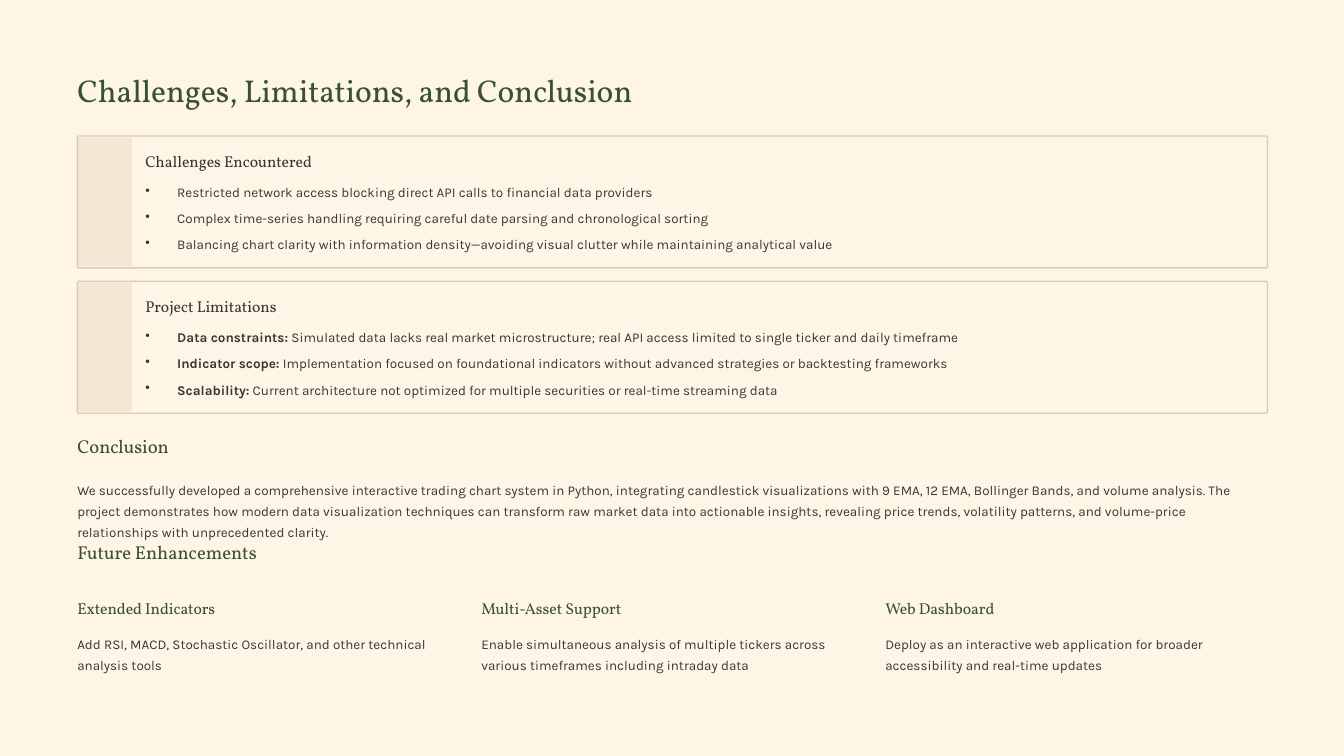
from dataclasses import dataclass

from lxml import etree
from pptx import Presentation
from pptx.dml.color import RGBColor
from pptx.enum.shapes import MSO_SHAPE
from pptx.enum.text import MSO_ANCHOR, MSO_AUTO_SIZE, PP_ALIGN
from pptx.oxml.ns import qn
from pptx.util import Inches, Pt

ROUND = MSO_SHAPE.ROUNDED_RECTANGLE
TOP = MSO_ANCHOR.TOP
FIXED = MSO_AUTO_SIZE.NONE
LEFT = PP_ALIGN.LEFT

WIDE, HIGH = Inches(16), Inches(9)
COLS, ROWS = 160, 90
EDGE, SPAN = 9.2, 141.7
INK = {"page": "FEF5E7", "strip": "F3E7D4", "rim": "D9CDBA",
       "green": "38512F", "dark": "3A3630"}
SERIF, SANS = "Vollkorn", "Karla"


@dataclass
class Box:
    col: float
    row: float
    wide: float
    high: float

    def place(self) -> tuple[int, int, int, int]:
        return (round(self.col * WIDE / COLS), round(self.row * HIGH / ROWS),
                round(self.wide * WIDE / COLS), round(self.high * HIGH / ROWS))


@dataclass
class Card:
    head: str
    items: list[tuple[str, str]]


@dataclass
class Plan:
    head: str
    body: str
    wide: float


CARDS = [
    Card("Challenges Encountered", [
        ("", "Restricted network access blocking direct API calls to financial data providers"),
        ("", "Complex time-series handling requiring careful date parsing and chronological sorting"),
        ("", "Balancing chart clarity with information density—avoiding visual clutter "
             "while maintaining analytical value"),
    ]),
    Card("Project Limitations", [
        ("Data constraints:", " Simulated data lacks real market microstructure; "
                              "real API access limited to single ticker and daily timeframe"),
        ("Indicator scope:", " Implementation focused on foundational indicators "
                             "without advanced strategies or backtesting frameworks"),
        ("Scalability:", " Current architecture not optimized for multiple securities "
                         "or real-time streaming data"),
    ]),
]

PLANS = [
    Plan("Extended Indicators",
         "Add RSI, MACD, Stochastic Oscillator, and other technical analysis tools", 44.1),
    Plan("Multi-Asset Support",
         "Enable simultaneous analysis of multiple tickers across "
         "various timeframes including intraday data", 44.1),
    Plan("Web Dashboard",
         "Deploy as an interactive web application for broader "
         "accessibility and real-time updates", 45.6),
]

CLOSE = (
    "We successfully developed a comprehensive interactive trading chart system in Python, "
    "integrating candlestick visualizations with 9 EMA, 12 EMA, Bollinger Bands, and volume "
    "analysis. The project demonstrates how modern data visualization techniques can transform "
    "raw market data into actionable insights, revealing price trends, volatility patterns, "
    "and volume-price relationships with unprecedented clarity."
)


def tint(name: str) -> RGBColor:
    return RGBColor.from_string(INK[name])


def write(slide, box: Box, lines: list[tuple[str, str]], *, shape=None,
          size: float = 11.5, lead: float = 18, face: str = SANS,
          ink: str = "dark", dots: bool = False) -> None:
    if shape is None:
        shape = slide.shapes.add_textbox(*box.place())
    else:
        shape.left, shape.top, shape.width, shape.height = box.place()
    frame = shape.text_frame
    frame.margin_left = frame.margin_right = frame.margin_top = frame.margin_bottom = 0
    frame.word_wrap = True
    frame.auto_size = FIXED
    frame.vertical_anchor = TOP
    for num, (bold, plain) in enumerate(lines):
        para = frame.add_paragraph() if num else frame.paragraphs[0]
        if dots:
            props = para._p.get_or_add_pPr()
            props.set("marL", str(Inches(0.38)))
            props.set("indent", str(-Inches(0.38)))
            etree.SubElement(props, qn("a:buChar")).set("char", "•")
        para.alignment = LEFT
        para.line_spacing = Pt(lead)
        para.space_before = Pt(4.5 if num else 0)
        for words, heavy in ((bold, True), (plain, False)):
            if words:
                run = para.add_run()
                run.text = words
                font = run.font
                font.name, font.size, font.bold = face, Pt(size), heavy
                font.color.rgb = tint(ink)


def panel(slide, box: Box, fill: str, bend: float, rim: str = "") -> None:
    shape = slide.shapes.add_shape(ROUND, *box.place())
    shape.shadow.inherit = False
    shape.adjustments[0] = bend
    shape.fill.solid()
    shape.fill.fore_color.rgb = tint(fill)
    if rim:
        shape.line.color.rgb = tint(rim)
        shape.line.width = Pt(1.2)
    else:
        shape.line.fill.background()


def head(slide, col: float, row: float, words: str, ink: str = "green") -> None:
    write(slide, Box(col, row, 40, 2.4), [("", words)],
          size=13.5, lead=16.5, face=SERIF, ink=ink)


def part(slide, row: float, words: str) -> None:
    write(slide, Box(EDGE, row, 40, 2.8), [("", words)],
          size=16, lead=20, face=SERIF, ink="green")


def main() -> None:
    deck = Presentation()
    deck.slide_width, deck.slide_height = WIDE, HIGH
    slide = deck.slides.add_slide(deck.slide_layouts[5])
    back = slide.background.fill
    back.solid()
    back.fore_color.rgb = tint("page")

    write(slide, Box(EDGE, 8.3, SPAN, 4.7),
          [("", "Challenges, Limitations, and Conclusion")],
          shape=slide.shapes.title, size=27, lead=33.5, face=SERIF, ink="green")

    for num, card in enumerate(CARDS):
        row = 16.2 + num * 17.3
        panel(slide, Box(EDGE, row, SPAN, 15.7), "page", 0.015, "rim")
        panel(slide, Box(EDGE + 0.1, row + 0.2, 6.4, 15.3), "strip", 0.006)
        head(slide, 17.3, row + 1.8, card.head, "dark")
        write(slide, Box(17.3, row + 5.1, 131.7, 8.9), card.items, dots=True)

    part(slide, 51.6, "Conclusion")
    write(slide, Box(EDGE, 56.8, SPAN, 5.1), [("", CLOSE)])
    part(slide, 64.3, "Future Enhancements")

    for num, plan in enumerate(PLANS):
        col = EDGE + num * 48.1
        head(slide, col, 71.2, plan.head)
        write(slide, Box(col, 75.1, plan.wide, 5.1), [("", plan.body)])

    deck.save("out.pptx")


if __name__ == "__main__":
    main()
